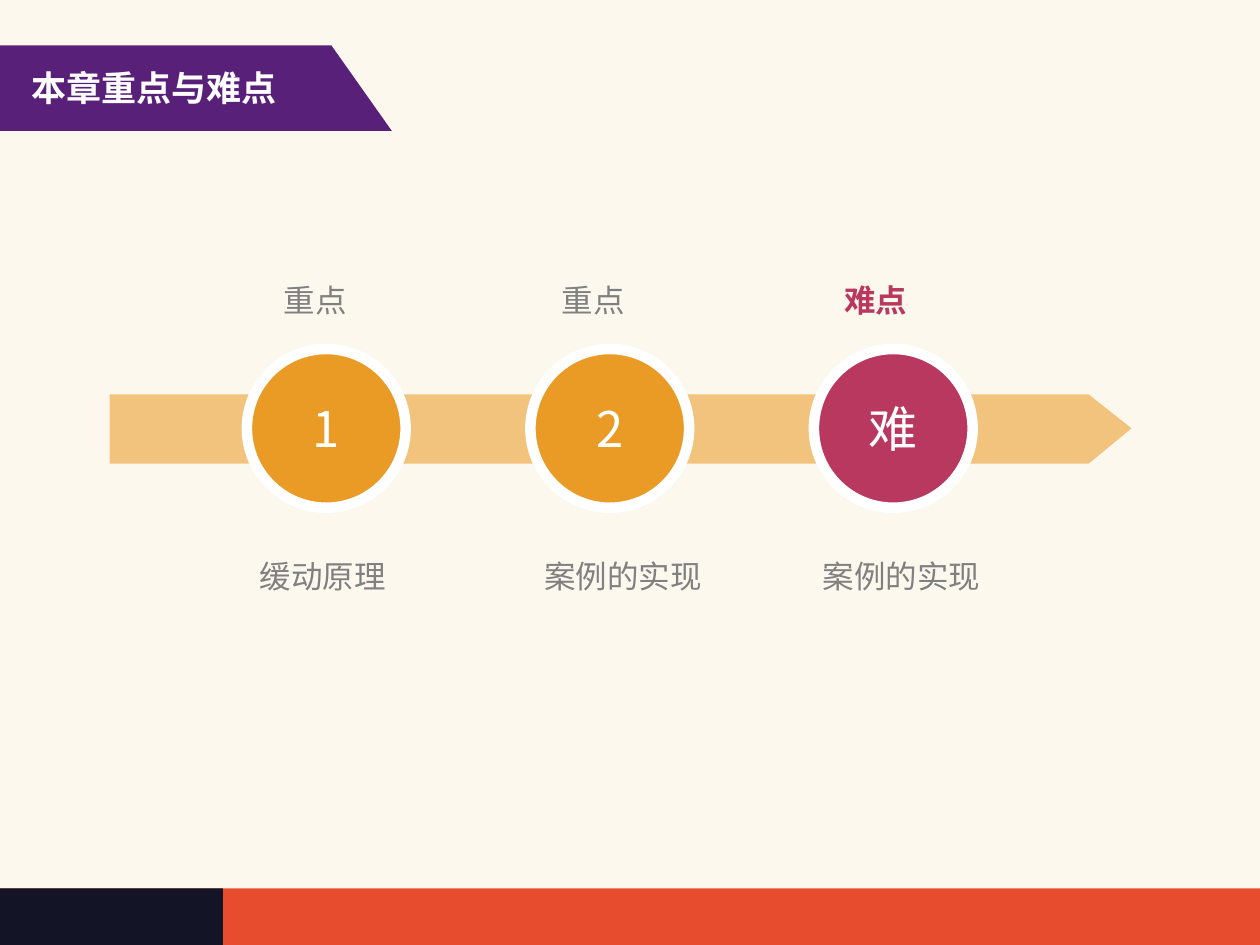
from dataclasses import dataclass

from lxml import etree
from pptx import Presentation
from pptx.dml.color import RGBColor
from pptx.enum.shapes import MSO_SHAPE
from pptx.enum.text import MSO_ANCHOR, MSO_AUTO_SIZE, PP_ALIGN
from pptx.oxml.ns import qn
from pptx.util import Inches, Pt

RECTANGLE, OVAL = MSO_SHAPE.RECTANGLE, MSO_SHAPE.OVAL
TOP, MIDDLE = MSO_ANCHOR.TOP, MSO_ANCHOR.MIDDLE
LEFT, CENTER = PP_ALIGN.LEFT, PP_ALIGN.CENTER
NO_AUTO_SIZE = MSO_AUTO_SIZE.NONE

FONT = "Noto Sans CJK SC"
CREAM = RGBColor(0xFC, 0xF8, 0xED)
RED = RGBColor(0xE7, 0x4C, 0x2E)
NAVY = RGBColor(0x13, 0x14, 0x26)
PURPLE = RGBColor(0x59, 0x20, 0x79)
SAND = RGBColor(0xF2, 0xC3, 0x7D)
ORANGE = RGBColor(0xEA, 0x9B, 0x26)
CRIMSON = RGBColor(0xB8, 0x38, 0x60)
GRAY = RGBColor(0x80, 0x80, 0x80)
WHITE = RGBColor(0xFF, 0xFF, 0xFF)

FIRST_CIRCLE_LEFT, CIRCLE_STEP = 1.96, 2.25
CIRCLE_TOP, CIRCLE_SIZE = 2.77, 1.26
NUMBER_WIDTH, NUMBER_HEIGHT = 0.89, 0.66
LABEL_TOP, CAPTION_TOP, LABEL_HEIGHT = 2.18, 4.22, 0.45


@dataclass(frozen=True)
class TextStyle:
    size: float
    color: RGBColor
    bold: bool = False
    align: PP_ALIGN = LEFT
    anchor: MSO_ANCHOR = TOP
    wrap: bool = True
    line_spacing: float = 1.0


@dataclass(frozen=True)
class Milestone:
    number: str
    color: RGBColor
    label: str
    label_left: float
    label_style: TextStyle
    caption: str
    caption_left: float


TITLE = TextStyle(20, WHITE, bold=True)
NUMBER = TextStyle(28, WHITE, align=CENTER, anchor=MIDDLE)
LABEL = TextStyle(18, GRAY, wrap=False)
HARD_LABEL = TextStyle(18, CRIMSON, bold=True, wrap=False)
CAPTION = TextStyle(18, GRAY, wrap=False, line_spacing=1.5)

MILESTONES = [
    Milestone("1", ORANGE, "重点", 2.2, LABEL, "缓动原理", 2.01),
    Milestone("2", ORANGE, "重点", 4.41, LABEL, "案例的实现", 4.27),
    Milestone("难", CRIMSON, "难点", 6.65, HARD_LABEL, "案例的实现", 6.48),
]


def write_text(shape, text: str, style: TextStyle) -> None:
    frame = shape.text_frame
    frame.text = text
    frame.word_wrap = style.wrap
    frame.auto_size = NO_AUTO_SIZE
    frame.vertical_anchor = style.anchor
    frame.margin_left = frame.margin_right = Inches(0.05)
    frame.margin_top = frame.margin_bottom = Inches(0.05)
    paragraph = frame.paragraphs[0]
    paragraph.alignment = style.align
    paragraph.line_spacing = style.line_spacing
    font = paragraph.font
    font.name = FONT
    font.size = Pt(style.size)
    font.bold = style.bold
    font.color.rgb = style.color
    properties = paragraph._p.pPr.find(qn("a:defRPr"))
    etree.SubElement(properties, qn("a:ea")).set("typeface", FONT)


def add_text(slide, text: str, left: float, top: float, width: float,
             height: float, style: TextStyle) -> None:
    box = slide.shapes.add_textbox(
        Inches(left), Inches(top), Inches(width), Inches(height))
    write_text(box, text, style)


def paint(shape, color: RGBColor) -> None:
    shape.shadow.inherit = False
    shape.fill.solid()
    shape.fill.fore_color.rgb = color
    shape.line.fill.background()


def add_preset(slide, preset: MSO_SHAPE, left: float, top: float,
               width: float, height: float, color: RGBColor):
    shape = slide.shapes.add_shape(
        preset, Inches(left), Inches(top), Inches(width), Inches(height))
    paint(shape, color)
    return shape


def add_outline(slide, points: list[tuple[float, float]],
                color: RGBColor) -> None:
    start, *others = [(Inches(x), Inches(y)) for x, y in points]
    builder = slide.shapes.build_freeform(*start)
    builder.add_line_segments(others, close=True)
    paint(builder.convert_to_shape(), color)


def add_title(slide, text: str) -> None:
    add_outline(slide, [(0, 0.36), (2.63, 0.36), (3.11, 1.04), (0, 1.04)],
                PURPLE)
    title = slide.shapes.title
    title.left, title.top = Inches(0.2), Inches(0.48)
    title.width, title.height = Inches(2.59), Inches(0.49)
    write_text(title, text, TITLE)
    title.element.getparent().append(title.element)


def add_milestone(slide, index: int, milestone: Milestone) -> None:
    left = FIRST_CIRCLE_LEFT + index * CIRCLE_STEP
    circle = add_preset(slide, OVAL, left, CIRCLE_TOP, CIRCLE_SIZE,
                        CIRCLE_SIZE, milestone.color)
    circle.line.color.rgb = WHITE
    circle.line.width = Pt(6)
    add_text(slide, milestone.number,
             left + (CIRCLE_SIZE - NUMBER_WIDTH) / 2,
             CIRCLE_TOP + (CIRCLE_SIZE - NUMBER_HEIGHT) / 2,
             NUMBER_WIDTH, NUMBER_HEIGHT, NUMBER)
    for text, text_left, top, style in (
        (milestone.label, milestone.label_left, LABEL_TOP,
         milestone.label_style),
        (milestone.caption, milestone.caption_left, CAPTION_TOP, CAPTION),
    ):
        width = 0.11 + 0.25 * len(text)
        add_text(slide, text, text_left, top, width, LABEL_HEIGHT, style)


def main() -> None:
    presentation = Presentation()
    presentation.slide_width = Inches(10)
    presentation.slide_height = Inches(7.5)
    slide = presentation.slides.add_slide(presentation.slide_layouts[5])
    slide.background.fill.solid()
    slide.background.fill.fore_color.rgb = CREAM

    add_preset(slide, RECTANGLE, 0, 7.05, 10, 0.45, RED)
    add_preset(slide, RECTANGLE, 0, 7.05, 1.77, 0.45, NAVY)
    add_title(slide, "本章重点与难点")
    add_outline(slide, [(0.87, 3.13), (8.64, 3.13), (8.98, 3.4),
                        (8.64, 3.68), (0.87, 3.68)], SAND)
    for index, milestone in enumerate(MILESTONES):
        add_milestone(slide, index, milestone)

    presentation.save("out.pptx")


if __name__ == "__main__":
    main()
